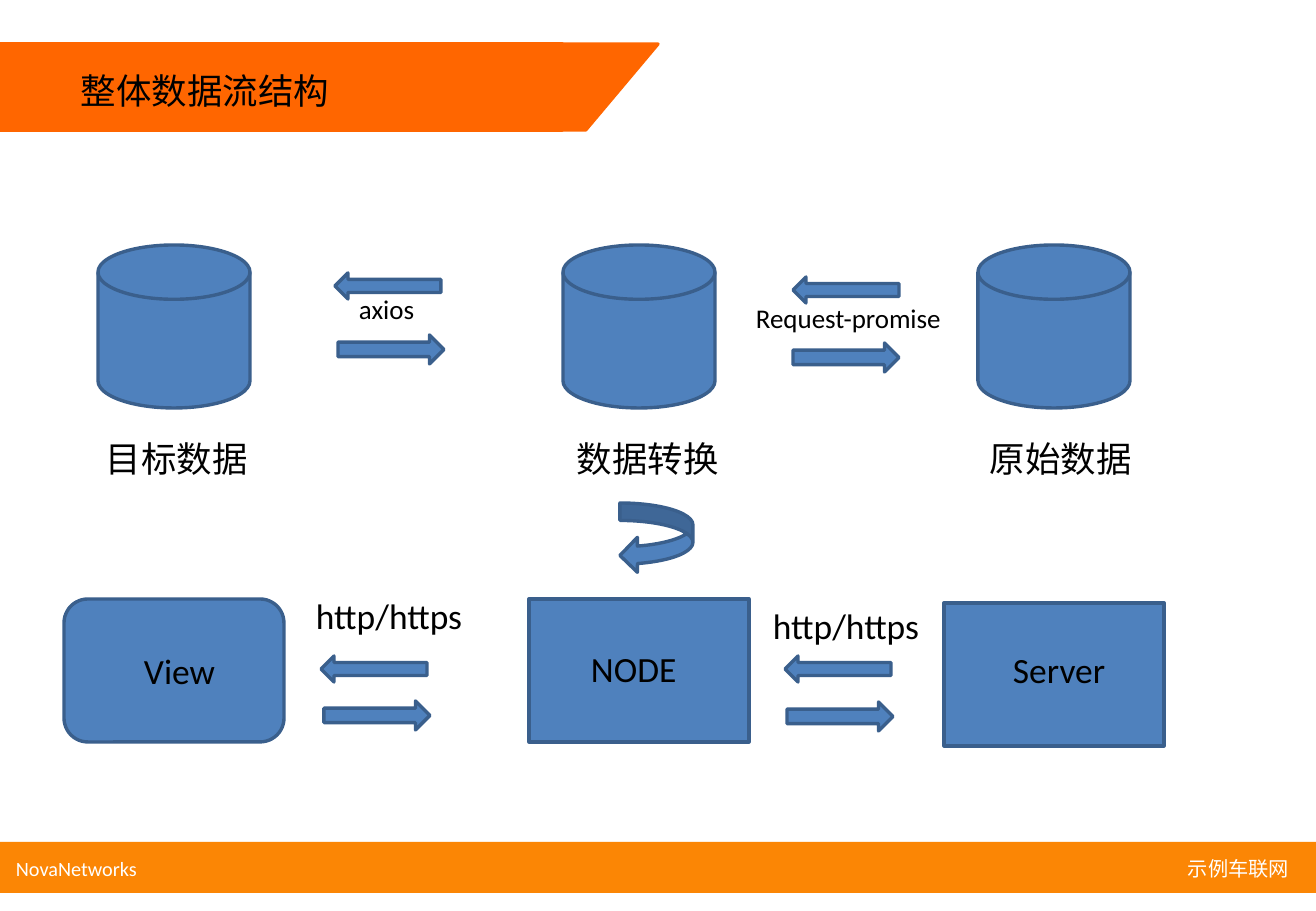
"""Build the slide showing the overall data flow between view, node and server."""

from dataclasses import dataclass

import pptx
import pptx.dml.color
import pptx.enum.shapes
import pptx.enum.text
import pptx.shapes.autoshape
import pptx.util

EMU_PER_PIXEL = 914400 / 121.5
FONT = "Calibri"
COLORS = {
    "header": "FF6600",
    "footer": "FB8605",
    "fill": "4F81BD",
    "outline": "3A5F8C",
    "text": "000000",
    "footer_text": "FFFFFF",
}
SHAPE = pptx.enum.shapes.MSO_SHAPE
ALIGN = pptx.enum.text.PP_ALIGN
ANCHOR = pptx.enum.text.MSO_ANCHOR

SLIDE_WIDTH, SLIDE_HEIGHT = 1316, 911
BOX_WIDTH, BOX_HEIGHT = 220, 143
DISK_TOP, DISK_WIDTH, DISK_HEIGHT = 245, 152, 163
DATA_LABEL_TOP = 431
LABEL_HEIGHT = 55
ARROW_WIDTH, LEFT_ARROW_HEIGHT, RIGHT_ARROW_HEIGHT = 106, 26, 29
FOOTER_TOP, FOOTER_HEIGHT = 842, 51


@dataclass(frozen=True)
class Label:
    text: str
    left: int
    top: int
    width: int
    size: int = 21


@dataclass(frozen=True)
class Stage:
    left: int
    top: int
    box_kind: SHAPE
    name: Label
    data: Label


@dataclass(frozen=True)
class Exchange:
    label: Label
    left_arrow: tuple[int, int]
    right_arrow: tuple[int, int]


STAGES = [
    Stage(64, 599, SHAPE.ROUNDED_RECTANGLE,
          Label("View", 132, 643, 153), Label("目标数据", 94, DATA_LABEL_TOP, 191)),
    Stage(529, 599, SHAPE.RECTANGLE,
          Label("NODE", 579, 641, 153), Label("数据转换", 565, DATA_LABEL_TOP, 220)),
    Stage(944, 603, SHAPE.RECTANGLE,
          Label("Server", 1001, 642, 134), Label("原始数据", 978, DATA_LABEL_TOP, 177)),
]
EXCHANGES = [
    Exchange(Label("axios", 347, 287, 215, 16), (335, 273), (338, 335)),
    Exchange(Label("Request-promise", 744, 296, 215, 16), (793, 277), (793, 343)),
    Exchange(Label("http/https", 304, 588, 173), (321, 656), (324, 701)),
    Exchange(Label("http/https", 761, 598, 183), (785, 656), (787, 702)),
]

presentation = pptx.Presentation()


def pixels(length: float) -> pptx.util.Emu:
    """Convert a length in pixels to EMU."""
    return pptx.util.Emu(round(length * EMU_PER_PIXEL))


presentation.slide_width = pixels(SLIDE_WIDTH)
presentation.slide_height = pixels(SLIDE_HEIGHT)
slide = presentation.slides.add_slide(presentation.slide_layouts[6])


def color(name: str) -> pptx.dml.color.RGBColor:
    """Look up a named colour."""
    return pptx.dml.color.RGBColor.from_string(COLORS[name])


def add_shape(kind: SHAPE, left: int, top: int, width: int, height: int,
              fill: str = "fill", outline: str = "outline") -> pptx.shapes.autoshape.Shape:
    """Draw a filled preset shape with a two-point outline."""
    shape = slide.shapes.add_shape(kind, *map(pixels, (left, top, width, height)))
    shape.shadow.inherit = False
    shape.fill.solid()
    shape.fill.fore_color.rgb = color(fill)
    shape.line.color.rgb = color(outline)
    shape.line.width = pptx.util.Pt(2)
    return shape


def add_label(label: Label, height: int = LABEL_HEIGHT, text_color: str = "text",
              align: ALIGN = ALIGN.LEFT, anchor: ANCHOR = ANCHOR.TOP) -> None:
    """Write a single-line label in a text box."""
    box = slide.shapes.add_textbox(
        *map(pixels, (label.left, label.top, label.width, height)))
    text_frame = box.text_frame
    text_frame.word_wrap = True
    text_frame.vertical_anchor = anchor
    text_frame.text = label.text
    paragraph = text_frame.paragraphs[0]
    paragraph.alignment = align
    font = paragraph.runs[0].font
    font.name = FONT
    font.size = pptx.util.Pt(label.size)
    font.color.rgb = color(text_color)


def add_header() -> None:
    """Draw the slanted title banner."""
    add_shape(SHAPE.RECTANGLE, 0, 44, 562, 86, "header", "header")
    slant = add_shape(SHAPE.PARALLELOGRAM, 457, 44, 201, 86, "header", "header")
    slant.adjustments[0] = 0.84
    add_label(Label("整体数据流结构", 69, 63, 430))


def add_footer() -> None:
    """Draw the footer bar with a name at each end."""
    bar = add_shape(SHAPE.RECTANGLE, 0, FOOTER_TOP, SLIDE_WIDTH, FOOTER_HEIGHT, "footer")
    bar.line.fill.background()
    for text, left, align in (("NovaNetworks", 4, ALIGN.LEFT),
                              ("示例车联网", 1001, ALIGN.RIGHT)):
        add_label(Label(text, left, FOOTER_TOP + 2, 300, 12), FOOTER_HEIGHT - 2,
                  "footer_text", align, ANCHOR.MIDDLE)


def add_stage(stage: Stage) -> None:
    """Draw a stage box with its data disk centred above it."""
    add_shape(stage.box_kind, stage.left, stage.top, BOX_WIDTH, BOX_HEIGHT)
    disk_left = stage.left + (BOX_WIDTH - DISK_WIDTH) // 2
    add_shape(SHAPE.FLOWCHART_MAGNETIC_DISK, disk_left, DISK_TOP, DISK_WIDTH, DISK_HEIGHT)
    add_label(stage.name)
    add_label(stage.data)


def add_exchange(exchange: Exchange) -> None:
    """Draw a pair of opposite arrows with their label."""
    add_shape(SHAPE.LEFT_ARROW, *exchange.left_arrow, ARROW_WIDTH, LEFT_ARROW_HEIGHT)
    add_shape(SHAPE.RIGHT_ARROW, *exchange.right_arrow, ARROW_WIDTH, RIGHT_ARROW_HEIGHT)
    add_label(exchange.label)


add_header()
add_footer()
for stage in STAGES:
    add_stage(stage)
for exchange in EXCHANGES:
    add_exchange(exchange)
add_shape(SHAPE.CURVED_LEFT_ARROW, 620, 503, 73, 70)

presentation.save("out.pptx")
